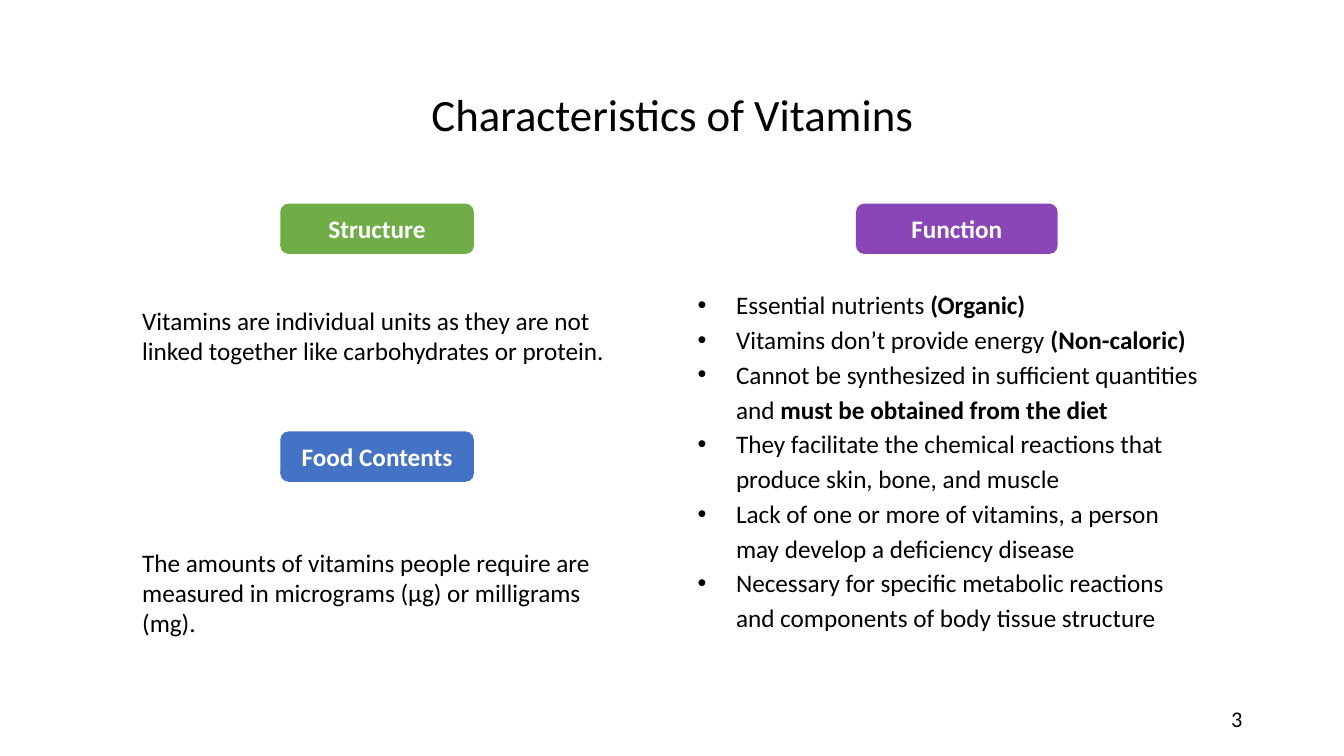
from lxml.etree import SubElement
from pptx import Presentation
from pptx.dml.color import RGBColor
from pptx.enum.shapes import MSO_SHAPE
from pptx.enum.text import MSO_ANCHOR, PP_ALIGN
from pptx.oxml.ns import qn
from pptx.util import Inches, Pt

COLORS = {"text": "000000", "paper": "FFFFFF", "structure": "70AD47",
          "function": "8A46B7", "food": "4472C4"}
INSET = 0.13
BODY_TOP, BODY_HEIGHT = 2, 4.76
BLANK_LINE = 0.3


def set_frame(shape, anchor=MSO_ANCHOR.MIDDLE, sides=INSET, ends=INSET, lead=0):
    """Set wrapping, anchor and insets; lead lowers the start of the text."""
    frame = shape.text_frame
    frame.word_wrap = True
    frame.vertical_anchor = anchor
    frame.margin_left = frame.margin_right = Inches(sides)
    frame.margin_top, frame.margin_bottom = Inches(ends + lead), Inches(ends)
    return frame


def add_span(para, text, size=18, color="text", bold=False):
    span = para.add_run()
    span.text = text
    span.font.name = "Calibri"
    span.font.size = Pt(size)
    span.font.bold = bold
    span.font.color.rgb = RGBColor.from_string(COLORS[color])


deck = Presentation()
deck.slide_width, deck.slide_height = Inches(13.33), Inches(7.5)
page = deck.slides.add_slide(deck.slide_layouts[5])

# Title
title = page.shapes.title
title.left, title.top = Inches(2.13), Inches(0.4)
title.width, title.height = Inches(9.08), Inches(1.45)
para = set_frame(title).paragraphs[0]
para.alignment = PP_ALIGN.CENTER
add_span(para, "Characteristics of Vitamins", 32)

# Two body columns: left, width, lead, line spacing, gap, bulleted, paragraphs
columns = [
    (1.28, 4.92, 2 * BLANK_LINE, 1, 6 * BLANK_LINE, False, [
        [("Vitamins are individual units as they are not linked together "
          "like carbohydrates or protein.", False)],
        [("The amounts of vitamins people require are measured in "
          "micrograms (μg) or milligrams (mg).", False)],
    ]),
    (6.67, 5.38, 1.15 * BLANK_LINE, 1.15, 0, True, [
        [("Essential nutrients ", False), ("(Organic)", True)],
        [("Vitamins don’t provide energy ", False), ("(Non-caloric)", True)],
        [("Cannot be synthesized in sufficient quantities and ", False),
         ("must be obtained from the diet", True)],
        [("They facilitate the chemical reactions that produce skin, bone, "
          "and muscle", False)],
        [("Lack of one or more of vitamins, a person may develop a "
          "deficiency disease", False)],
        [("Necessary for specific metabolic reactions and components of "
          "body tissue structure", False)],
    ]),
]
for left, width, lead, spacing, gap, bulleted, paragraphs in columns:
    box = page.shapes.add_textbox(Inches(left), Inches(BODY_TOP),
                                  Inches(width), Inches(BODY_HEIGHT))
    box.fill.solid()
    box.fill.fore_color.rgb = RGBColor.from_string(COLORS["paper"])
    frame = set_frame(box, lead=lead)
    for index, spans in enumerate(paragraphs):
        para = frame.add_paragraph() if index else frame.paragraphs[0]
        para.line_spacing = spacing
        if index and gap:
            para.space_before = Inches(gap)
        if bulleted:
            props = para._p.get_or_add_pPr()
            props.set("marL", str(Inches(0.5)))
            props.set("indent", str(Inches(-0.38)))
            SubElement(props, qn("a:buFont"), typeface="Arial")
            SubElement(props, qn("a:buChar"), char="•")
        for text, bold in spans:
            add_span(para, text, bold=bold)

# Heading labels
labels = [("Structure", "structure", 2.78, 2.02, 1.92),
          ("Function", "function", 8.49, 2.02, 2),
          ("Food Contents", "food", 2.78, 4.28, 1.92)]
for text, color, left, top, width in labels:
    label = page.shapes.add_shape(MSO_SHAPE.FLOWCHART_ALTERNATE_PROCESS,
                                  Inches(left), Inches(top),
                                  Inches(width), Inches(0.5))
    label.shadow.inherit = False
    label.fill.solid()
    label.fill.fore_color.rgb = RGBColor.from_string(COLORS[color])
    label.line.fill.background()
    para = set_frame(label).paragraphs[0]
    para.alignment = PP_ALIGN.CENTER
    add_span(para, text, color="paper", bold=True)

# Page number
number = page.shapes.add_textbox(Inches(9.42), Inches(6.95), Inches(3), Inches(0.4))
para = set_frame(number, MSO_ANCHOR.TOP, sides=0.1, ends=0.05).paragraphs[0]
para.alignment = PP_ALIGN.RIGHT
add_span(para, "3", 16)

deck.save("out.pptx")
